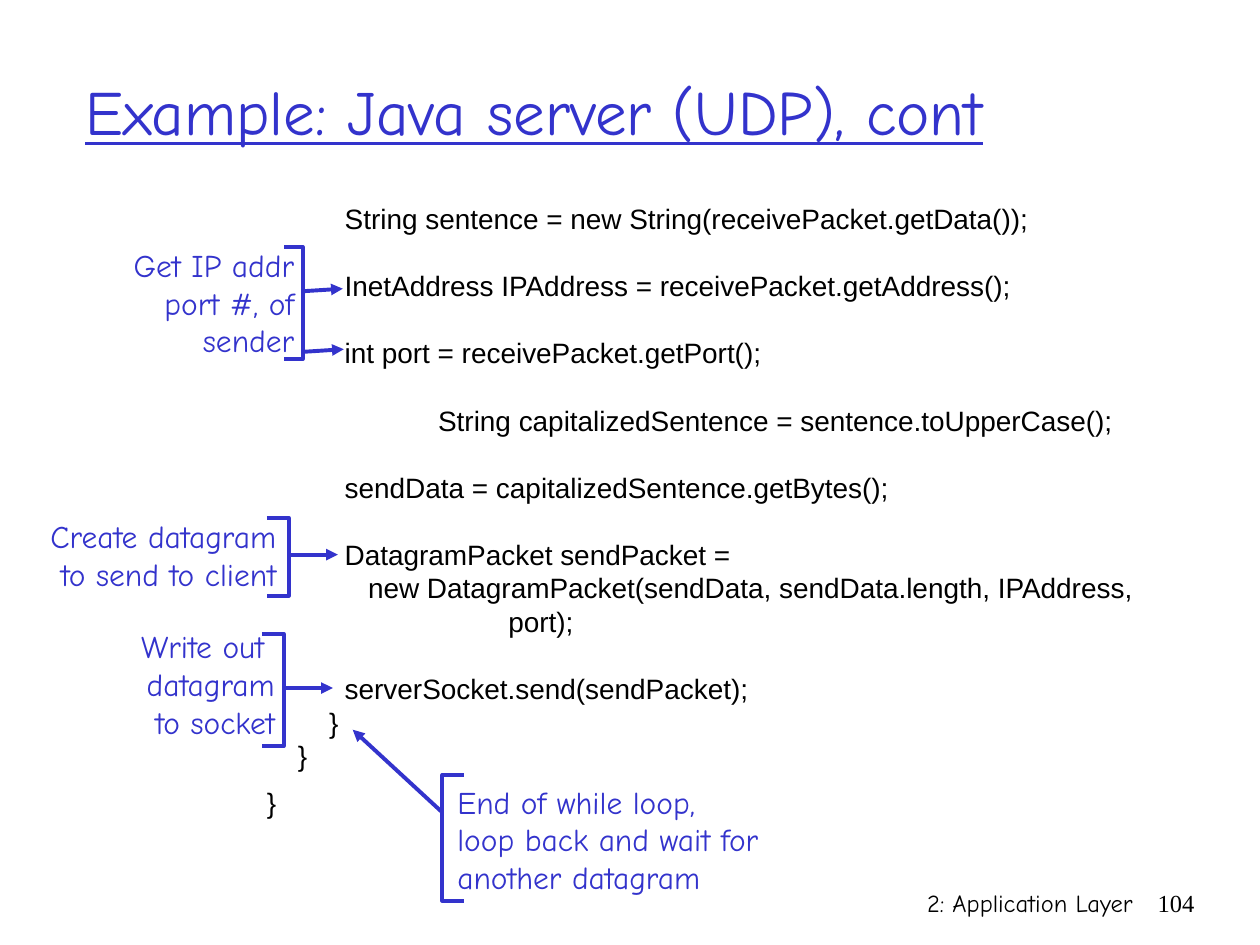
from dataclasses import dataclass

from lxml import etree
from pptx import Presentation
from pptx import util as u
from pptx.dml.color import RGBColor
from pptx.enum import shapes, text
from pptx.oxml import ns


@dataclass(frozen=True)
class Theme:
    blue: str = "3333CC"
    black: str = "000000"
    hand: str = "Comic Neue"
    code: str = "Arial"
    serif: str = "Times New Roman"
    title_size: float = 36
    note_size: float = 18
    code_size: float = 16
    footer_size: float = 14
    code_leading: float = 19.2
    note_leading: float = 21.6
    line_width: float = 2.25


T = Theme()
LEFT, RIGHT = text.PP_ALIGN.LEFT, text.PP_ALIGN.RIGHT
TOP, MIDDLE = text.MSO_ANCHOR.TOP, text.MSO_ANCHOR.MIDDLE
CODE_COLUMN = 0.157

# (columns of indent, points of space before, code)
CODE = [
    (10, 0, "String sentence = new String(receivePacket.getData());"),
    (10, T.code_leading, "InetAddress IPAddress = receivePacket.getAddress();"),
    (10, T.code_leading, "int port = receivePacket.getPort();"),
    (22, T.code_leading, "String capitalizedSentence = sentence.toUpperCase();"),
    (10, T.code_leading, "sendData = capitalizedSentence.getBytes();"),
    (10, T.code_leading, "DatagramPacket sendPacket ="),
    (13, 0, "new DatagramPacket(sendData, sendData.length, IPAddress,"),
    (31, 0, "port);"),
    (10, T.code_leading, "serverSocket.send(sendPacket);"),
    (8, 0, "}"),
    (4, 0, "}"),
    (0, 7.7, "}"),
]

NOTES = [
    (["Get IP addr", "port #, of", "sender"], (0.36, 4.83, 5.82, 2.54), RIGHT),
    (["Create datagram", "to send to client"], (0.33, 10.29, 5.49, 1.78), RIGHT),
    (["Write out ", "datagram", "to socket"], (2.13, 12.52, 3.66, 2.54), RIGHT),
    (["End of while loop,", "loop back and wait for", "another datagram"],
     (8.97, 15.65, 7.06, 2.54), LEFT),
]

BRACKETS = [
    (5.73, 6.1, 4.98, 7.24),
    (5.38, 5.82, 10.44, 12.01),
    (5.28, 5.72, 12.78, 15.04),
    (9.35, 8.92, 15.62, 18.16),
]

ARROWS = [
    (6.12, 5.87, 6.91, 5.82),
    (6.15, 7.09, 6.93, 7.04),
    (5.87, 11.18, 6.81, 11.18),
    (5.77, 13.87, 6.71, 13.87),
    (8.92, 16.38, 7.11, 14.71),
]


def add_text(s, lines, box, *, font, size, color, align=LEFT, anchor=TOP,
             underline=None, leading=None, indents=None, gaps=None):
    tf = s.shapes.add_textbox(*map(u.Cm, box)).text_frame
    tf.word_wrap = True
    tf.vertical_anchor = anchor
    for i, line in enumerate(lines):
        p = tf.paragraphs[0] if i == 0 else tf.add_paragraph()
        p.alignment = align
        if leading:
            p.line_spacing = u.Pt(leading)
        if gaps:
            p.space_before = u.Pt(gaps[i])
        if indents:
            p._p.get_or_add_pPr().set("marL", str(u.Cm(indents[i])))
        r = p.add_run()
        r.text = line
        r.font.name = font
        r.font.size = u.Pt(size)
        r.font.underline = underline
        r.font.color.rgb = RGBColor.from_string(color)


def style_line(line):
    line.color.rgb = RGBColor.from_string(T.blue)
    line.width = u.Pt(T.line_width)


def add_bracket(s, tip, spine, top, bottom):
    fb = s.shapes.build_freeform(u.Cm(tip), u.Cm(top))
    corners = [(spine, top), (spine, bottom), (tip, bottom)]
    fb.add_line_segments([(u.Cm(x), u.Cm(y)) for x, y in corners], close=False)
    sp = fb.convert_to_shape()
    sp.shadow.inherit = False
    sp.fill.background()
    style_line(sp.line)


def add_arrow(s, *ends):
    c = s.shapes.add_connector(shapes.MSO_CONNECTOR.STRAIGHT, *map(u.Cm, ends))
    style_line(c.line)
    etree.SubElement(c.line._get_or_add_ln(), ns.qn("a:tailEnd"), type="triangle")
    etree.SubElement(c._element.spPr, ns.qn("a:effectLst"))


def main():
    prs = Presentation()
    prs.slide_width, prs.slide_height = u.Cm(25.4), u.Cm(19.05)
    s = prs.slides.add_slide(prs.slide_layouts[6])

    add_text(s, ["Example: Java server (UDP), cont"], (1.47, 0.64, 21.59, 3.18),
             font=T.hand, size=T.title_size, color=T.blue, anchor=MIDDLE,
             underline=True)
    columns, gaps, lines = zip(*CODE)
    add_text(s, lines, (5.13, 3.94, 18.24, 12.8), font=T.code, size=T.code_size,
             color=T.black, leading=T.code_leading, gaps=gaps,
             indents=[n * CODE_COLUMN for n in columns])
    for lines, box, align in NOTES:
        add_text(s, lines, box, font=T.hand, size=T.note_size, color=T.blue,
                 align=align, anchor=MIDDLE, leading=T.note_leading)
    for bracket in BRACKETS:
        add_bracket(s, *bracket)
    for arrow in ARROWS:
        add_arrow(s, *arrow)
    add_text(s, ["2: Application Layer"], (15.04, 17.78, 8.05, 1.27),
             font=T.hand, size=T.footer_size, color=T.black, align=RIGHT)
    add_text(s, ["104"], (23.06, 17.78, 1.27, 1.27),
             font=T.serif, size=T.footer_size, color=T.black, align=RIGHT)

    prs.save("out.pptx")


if __name__ == "__main__":
    main()
